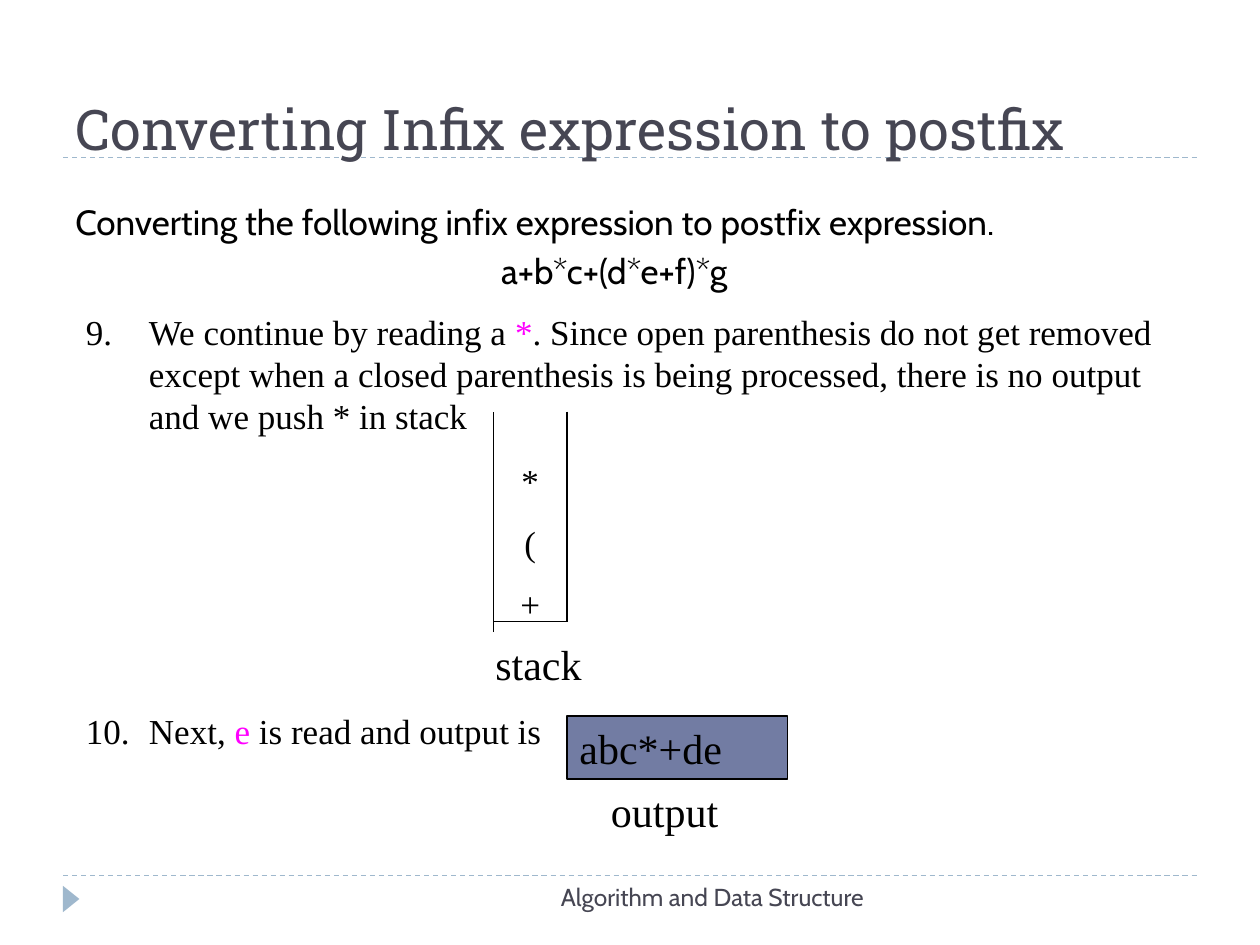
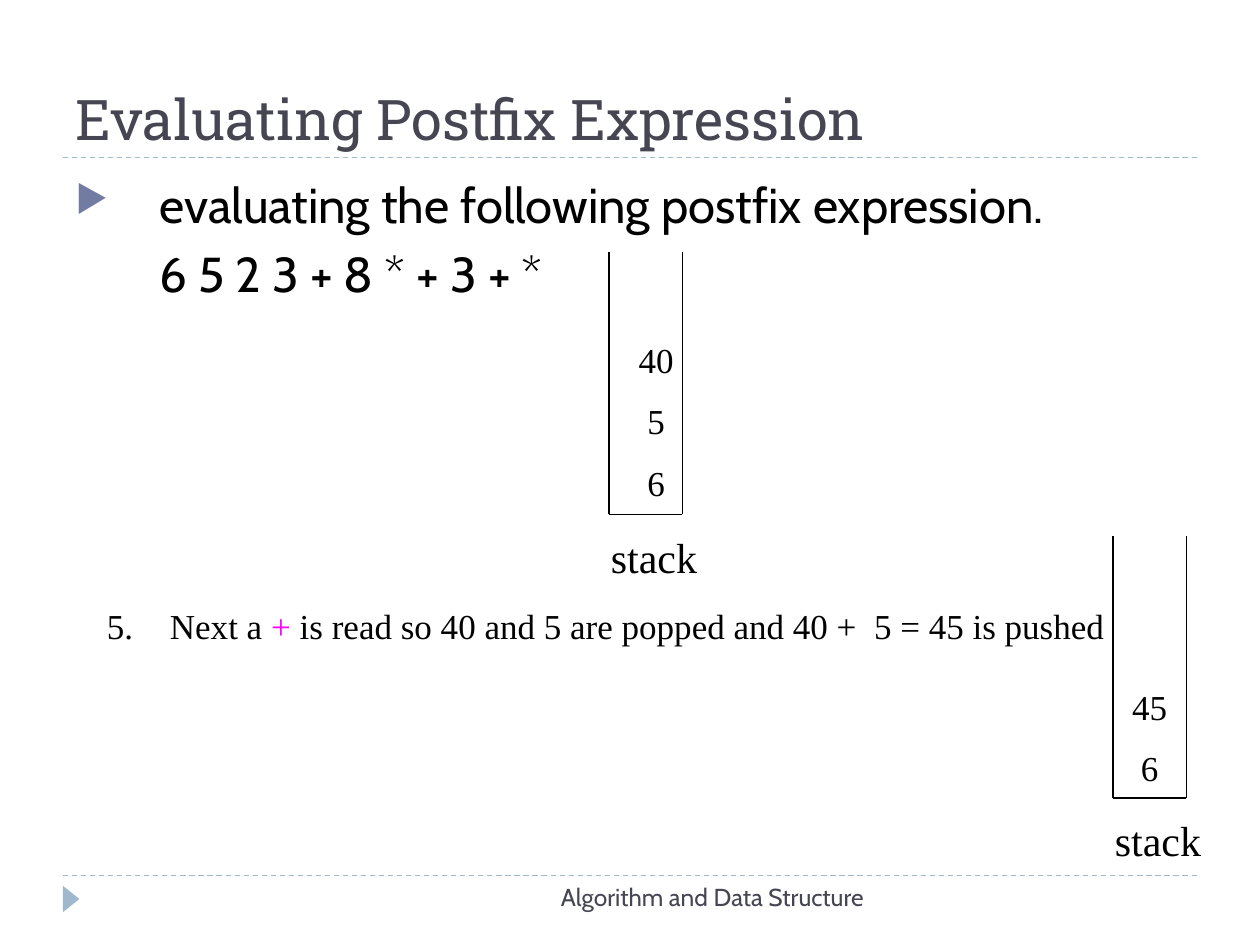
from lxml import etree
from pptx import Presentation
from pptx.dml.color import RGBColor
from pptx.enum import dml, shapes, text
from pptx.oxml import ns
from pptx.util import Pt

COLORS = {
    "title": "464653",
    "rule": "9FB8CD",
    "panel": "727CA3",
    "accent": "FF00FF",
    "ink": "000000",
}
HEADING, BODY, SERIF = "Roboto Slab", "Cabin", "Times New Roman"
ALIGN = text.PP_ALIGN
STACK_WIDTH = 42


def rgb(name):
    return RGBColor.from_string(COLORS[name])


def add_xml(parent, tag, **attributes):
    return etree.SubElement(parent, ns.qn(tag), {k: str(v) for k, v in attributes.items()})


def add_bullet(properties, bullet):
    color = add_xml(properties, "a:buClr")
    add_xml(color, "a:srgbClr", val=COLORS["panel"])
    add_xml(properties, "a:buSzPct", val=76000)
    add_xml(properties, "a:buChar", char=bullet)


def write_paragraph(paragraph, content, *, size, font=SERIF, color="ink", align=ALIGN.LEFT,
                    before=0, spacing=None, margin=0, indent=0, bullet=None, number=None):
    properties = paragraph._p.get_or_add_pPr()
    properties.set("marL", str(Pt(margin)))
    properties.set("indent", str(Pt(indent)))
    if bullet:
        add_bullet(properties, bullet)
    if number:
        add_xml(properties, "a:buFont", typeface="+mj-lt")
        add_xml(properties, "a:buAutoNum", type="arabicPeriod", startAt=number)
    paragraph.alignment = align
    paragraph.space_before = Pt(before)
    if spacing:
        paragraph.line_spacing = spacing
    paragraph.font.size = Pt(size)
    for index, part in enumerate(content.split("|")):
        run = paragraph.add_run()
        run.text = part
        run.font.size = Pt(size)
        run.font.name = font
        run.font.color.rgb = rgb("accent" if index % 2 else color)


def add_text(slide, box, lines, *, anchor=text.MSO_ANCHOR.TOP, before=0, **style):
    frame = slide.shapes.add_textbox(*map(Pt, box)).text_frame
    frame.word_wrap = True
    frame.vertical_anchor = anchor
    for index, line in enumerate(lines):
        content, extra = line if isinstance(line, tuple) else (line, {})
        paragraph = frame.add_paragraph() if index else frame.paragraphs[0]
        write_paragraph(paragraph, content, before=before if index else 0, **{**style, **extra})


def add_line(slide, start, end, color="ink", dash=None):
    line = slide.shapes.add_connector(shapes.MSO_CONNECTOR.STRAIGHT, *map(Pt, start + end))
    line.line.color.rgb = rgb(color)
    line.line.width = Pt(0.75)
    if dash:
        line.line.dash_style = dash
    add_xml(line._element.spPr, "a:effectLst")


def add_preset(slide, kind, box, fill, outline=None):
    shape = slide.shapes.add_shape(kind, *map(Pt, box))
    shape.shadow.inherit = False
    shape.fill.solid()
    shape.fill.fore_color.rgb = rgb(fill)
    if outline:
        shape.line.color.rgb = rgb(outline)
        shape.line.width = Pt(0.75)
    else:
        shape.line.fill.background()
    return shape


def add_base_slide(presentation, title, title_box):
    slide = presentation.slides.add_slide(presentation.slide_layouts[6])
    for y in (500.4, 90):
        add_line(slide, (36, y), (684, y), "rule", dml.MSO_LINE.DASH)
    marker = add_preset(slide, shapes.MSO_SHAPE.ISOSCELES_TRIANGLE, (33.1, 509, 15.1, 9.4), "rule")
    marker.rotation = 90
    add_text(slide, title_box, [title], size=32, font=HEADING, color="title",
             anchor=text.MSO_ANCHOR.BOTTOM)
    add_text(slide, (228, 500.4, 276, 28.8), ["Algorithm and Data Structure "],
             size=14, font=BODY, color="title", align=ALIGN.RIGHT)
    return slide


def add_step(slide, left, top, number, content, height=31):
    add_text(slide, (left, top, 636, height), [content], size=20,
             margin=36, indent=-36, number=number)


def add_label(slide, left, top, content, width=66):
    add_text(slide, (left, top, width, 36), [content], size=24)


def add_stack(slide, left, top, bottom, values, values_box, label_top, left_bottom=None):
    right = left + STACK_WIDTH
    add_line(slide, (left, bottom), (right, bottom))
    add_line(slide, (right, top), (right, bottom))
    add_line(slide, (left, left_bottom or bottom), (left, top))
    values_left, values_top, values_width = values_box
    height = 34 * len(values)
    add_text(slide, (values_left, values_top, values_width, height), values, size=20,
             align=ALIGN.CENTER, before=11)
    add_label(slide, left - 6, label_top, "stack")


def add_output(slide, left, top, content):
    panel = add_preset(slide, shapes.MSO_SHAPE.RECTANGLE, (left, top, 126, 36), "panel", "ink")
    panel.text_frame.vertical_anchor = text.MSO_ANCHOR.TOP
    write_paragraph(panel.text_frame.paragraphs[0], content, size=24)
    add_label(slide, left + 18, top + 36, "output", 90)


def build_conversion(presentation):
    slide = add_base_slide(presentation, "Converting Infix expression to postfix", (36, 6, 666, 90))
    add_text(slide, (36, 114, 630, 96), [
        "Converting the following infix expression to postfix expression.",
        ("a+b*c+(d*e+f)*g", {"align": ALIGN.CENTER}),
    ], size=20, font=BODY, before=6, spacing=0.9, margin=48, indent=-48)
    add_step(slide, 42, 174, 9, "We continue by reading a |*|. Since open parenthesis do not get "
             "removed except when a closed parenthesis is being processed, there is no output "
             "and we push * in stack", 79)
    add_stack(slide, 282, 235.2, 355.2, ["*", "(", "+"], (288, 259.2, 30), 361.2, 361.2)
    add_step(slide, 42, 402, 10, "Next, |e| is read and output is")
    add_output(slide, 324, 409.2, "abc*+de")


def build_evaluation(presentation):
    slide = add_base_slide(presentation, "Evaluating Postfix Expression", (36, 12, 648, 78))
    add_text(slide, (36, 96, 588, 96), [
        ("evaluating the following postfix expression.", {"indent": -48, "bullet": "▶"}),
        "6 5 2 3 + 8 * + 3 + *",
    ], size=28, font=BODY, before=6, margin=48)
    add_step(slide, 54, 342, 5,
             "Next a |+| is read so 40 and 5 are popped and 40 +  5 = 45 is pushed")
    add_stack(slide, 348, 144, 294, ["40", "5", "6"], (354, 190, 42), 300)
    add_stack(slide, 636, 306, 456, ["45", "6"], (636, 388, 42), 462)


def main():
    presentation = Presentation()
    presentation.slide_width, presentation.slide_height = Pt(720), Pt(540)
    build_conversion(presentation)
    build_evaluation(presentation)
    presentation.save("out.pptx")


if __name__ == "__main__":
    main()
